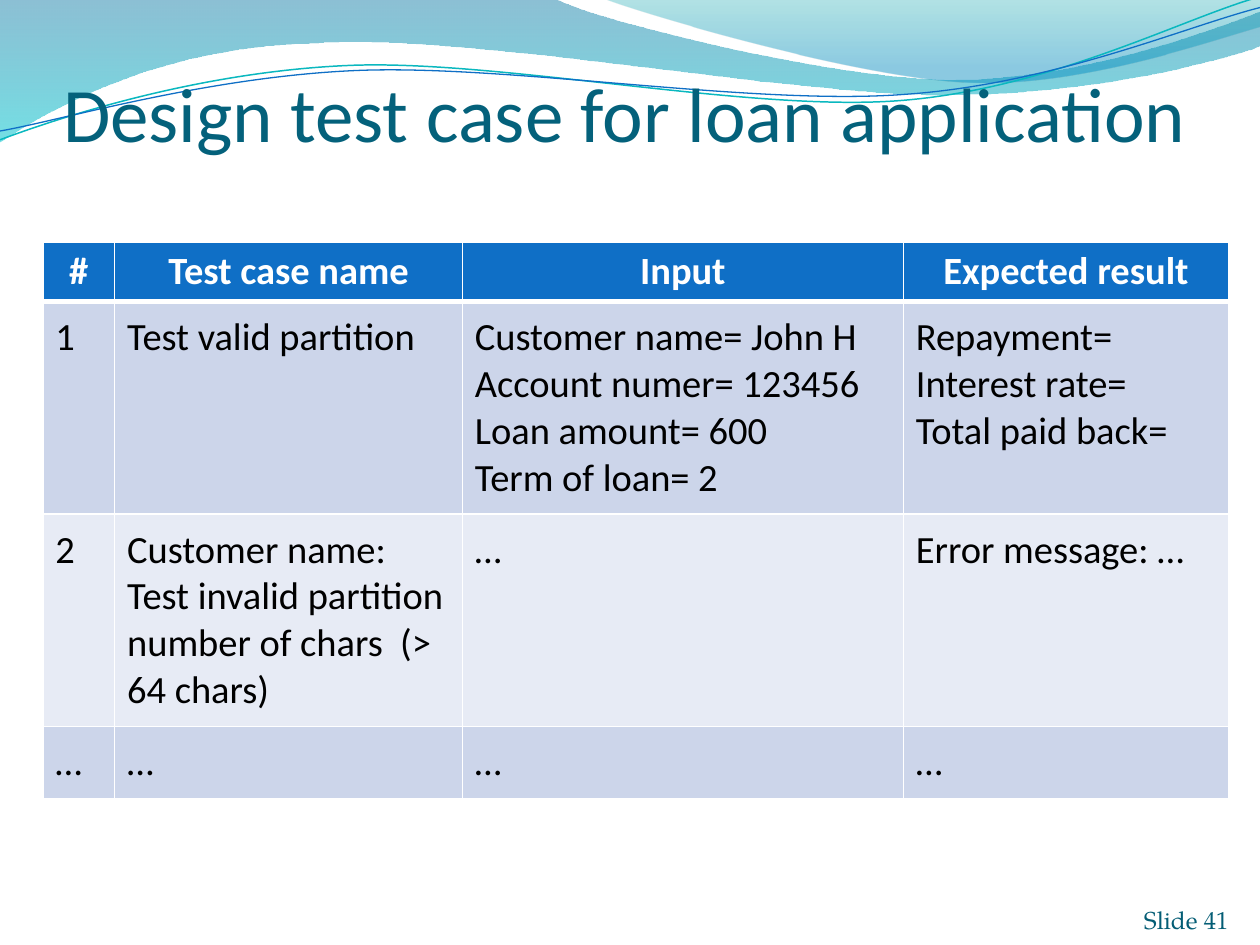
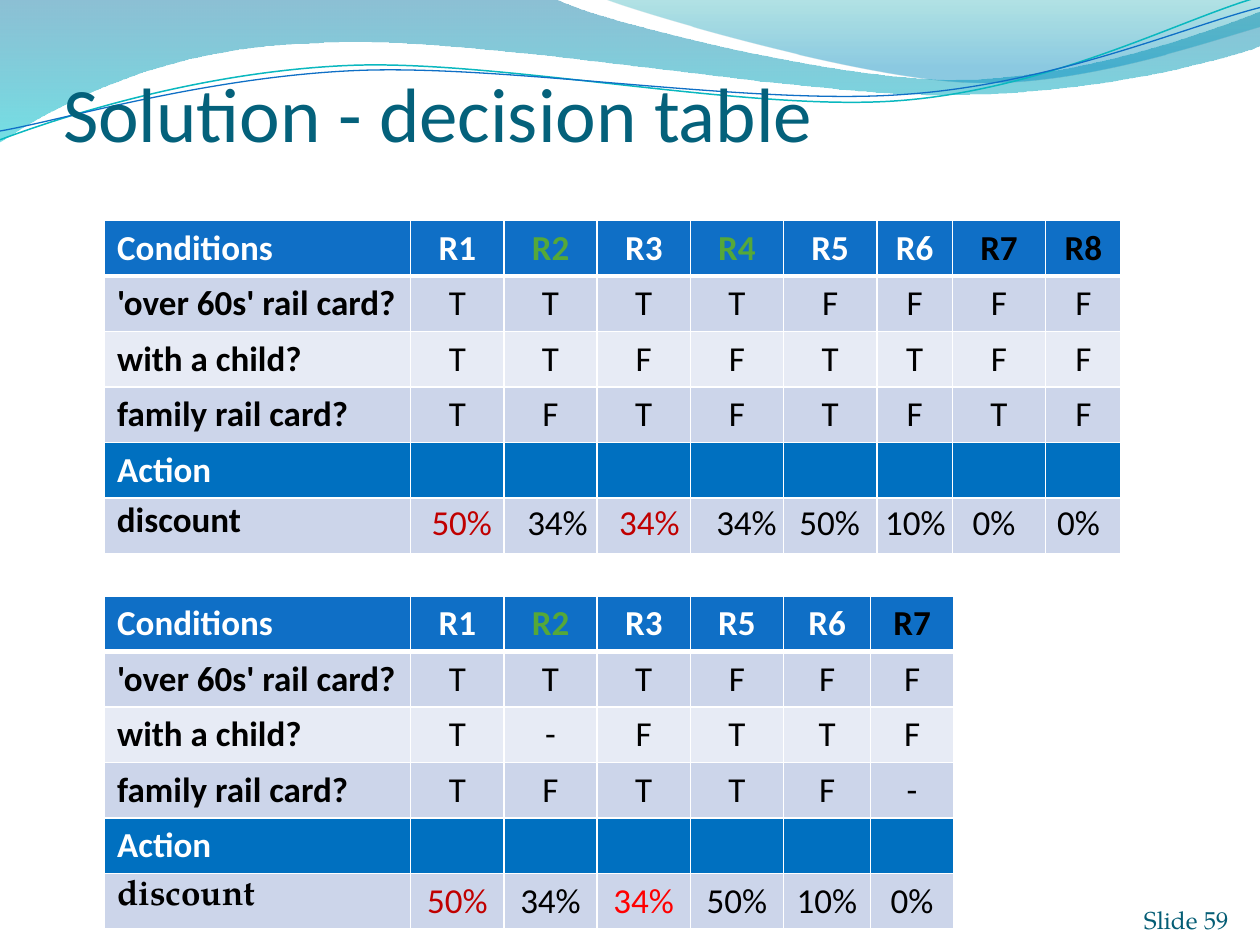
from pptx import Presentation
from pptx.dml.color import RGBColor
from pptx.enum.text import MSO_ANCHOR, MSO_AUTO_SIZE, PP_ALIGN
from pptx.oxml import parse_xml
from pptx.oxml.ns import nsdecls
from pptx.util import Inches, Pt

SANS, SERIF = "Calibri", "TeX Gyre Pagella"
WHITE, BLACK, BLUE, ACTION = "FFFFFF", "000000", "0F6FC6", "0070C0"
STRIPES = ("E7EBF5", "CCD5EA")
TITLE, FOOTER, TEAL = "04617B", "045D75", "0AB8BF"
GREEN, DARK_RED, RED = "55A839", "C00000", "FF0000"

BAND = [(0, 0), (4.4, -0.01), (4.76, 0.17, 6.64, 0.63, 7.58, 0.63),
        (8.53, 0.63, 9.58, 0.26, 10, 0.09), (10.01, 0.36),
        (9.83, 0.44, 8.7, 0.76, 7.46, 0.75),
        (6.22, 0.75, 3.82, 0.28, 2.57, 0.34),
        (1.29, 0.36, 0.46, 0.83, -0.01, 1.13), (0, 0)]
CREST = [(4.79, -0.01), (5.09, 0.11, 6.82, 0.62, 7.69, 0.65),
         (8.56, 0.69, 9.61, 0.32, 10, 0.21), (10, 0), (4.79, -0.01)]
TEAL_WAVE = [(0, 1.11), (0.48, 0.93, 1.58, 0.57, 2.77, 0.52),
             (3.95, 0.47, 5.93, 0.89, 7.13, 0.8),
             (8.33, 0.71, 9.38, 0.15, 9.98, -0.02)]
BLUE_WAVE = [(0, 1.04), (0.47, 0.96, 1.64, 0.61, 2.83, 0.56),
             (4.03, 0.51, 5.97, 0.84, 7.17, 0.75),
             (8.36, 0.67, 9.41, 0.21, 10, 0.06)]

LOAN = [
    ["#", "Test case name", "Input", "Expected result"],
    ["1", "Test valid partition",
     "Customer name= John H\nAccount numer= 123456\nLoan amount= 600\nTerm of loan= 2",
     "Repayment=\nInterest rate=\nTotal paid back="],
    ["2", "Customer name: Test invalid partition number of chars  (> 64 chars)",
     "…", "Error message: …"],
    ["…"] * 4,
]
LABELS = ["Conditions", "'over 60s' rail card?", "with a child?",
          "family rail card?", "Action"]
ALL_RULES = ["R1 R2 R3 R4 R5 R6 R7 R8", "T T T T F F F F",
             "T T F F T T F F", "T F T F T F T F", ""]
FEW_RULES = ["R1 R2 R3 R5 R6 R7", "T T T F F F",
             "T - F T T F", "T F T T F -", "", "50% 34% 34% 50% 10% 0%"]
DISCOUNTS = [("50%", 3.32, DARK_RED), ("34%", 4.81, DARK_RED),
             ("34%", 4.08, BLACK), ("50%", 6.24, BLACK),
             ("34%", 5.58, BLACK), ("0%", 7.62, BLACK),
             ("10%", 6.92, BLACK), ("0%", 8.29, BLACK)]


def color(code):
    """Turn a hex string into a colour."""
    return RGBColor.from_string(code)


def style(frame, size, code, face=SANS, bold=False, align=PP_ALIGN.LEFT):
    """Format every paragraph of a text frame."""
    for para in frame.paragraphs:
        para.alignment = align
        font = para.font
        font.name, font.size, font.bold = face, Pt(size), bold
        font.color.rgb = color(code)


def bend(shape, path):
    """Turn the straight parts of a freeform into its cubic curves."""
    lines = shape._element.findall(".//{*}lnTo")
    for line, part in zip(lines, path[1:]):
        if len(part) == 6:
            points = "".join(
                f'<a:pt x="{Inches(x) - shape.left}" y="{Inches(y) - shape.top}"/>'
                for x, y in zip(part[::2], part[1::2]))
            line.getparent().replace(line, parse_xml(
                f'<a:cubicBezTo {nsdecls("a")}>{points}</a:cubicBezTo>'))


def add_path(slide, path, close):
    """Draw a path as a freeform without a shadow."""
    ends = [(Inches(part[-2]), Inches(part[-1])) for part in path]
    pen = slide.shapes.build_freeform(*ends[0])
    pen.add_line_segments(ends[1:], close=close)
    shape = pen.convert_to_shape()
    bend(shape, path)
    shape.shadow.inherit = False
    return shape


def add_band(slide, path, stops):
    """Draw a closed band with a see-through vertical gradient."""
    shape = add_path(slide, path, True)
    shape.line.fill.background()
    marks = "".join(
        f'<a:gs pos="{pos * 1000}"><a:srgbClr val="{code}">'
        f'<a:alpha val="{alpha * 1000}"/></a:srgbClr></a:gs>'
        for pos, code, alpha in stops)
    fill = parse_xml(f'<a:gradFill {nsdecls("a")} rotWithShape="1"><a:gsLst>{marks}'
                     '</a:gsLst><a:lin ang="5400000" scaled="0"/></a:gradFill>')
    shape._element.spPr.find(".//{*}custGeom").addnext(fill)
    return shape


def add_wave(slide, path, code, width):
    """Draw an open curved line."""
    shape = add_path(slide, path, False)
    shape.fill.background()
    shape.line.color.rgb = color(code)
    shape.line.width = Pt(width)
    return shape


def add_decor(slide):
    """Draw the bands and waves and move them to the master."""
    shapes = [
        add_band(slide, BAND, [(0, "0074A1", 45), (100, "00C6CF", 55)]),
        add_band(slide, CREST, [(0, "00A1A9", 30), (80, "008BBF", 45)]),
        add_wave(slide, TEAL_WAVE, TEAL, 0.85),
        add_wave(slide, BLUE_WAVE, BLUE, 0.75),
    ]
    tree = slide.slide_layout.slide_master.shapes._spTree
    for place, shape in enumerate(shapes, 2):
        tree.insert(place, shape._element)


def add_text(slide, text, left, top, width, height):
    """Add a text box and return its frame."""
    box = slide.shapes.add_textbox(Inches(left), Inches(top),
                                   Inches(width), Inches(height))
    box.text_frame.text = text
    return box.text_frame


def add_slide(deck, title):
    """Add a slide with its title."""
    slide = deck.slides.add_slide(deck.slide_layouts[5])
    head = slide.shapes.title
    head.left, head.top = Inches(0.5), Inches(0.42)
    head.width, head.height = Inches(9.17), Inches(0.83)
    frame = head.text_frame
    frame.text = title
    frame.auto_size, frame.word_wrap = MSO_AUTO_SIZE.NONE, True
    frame.vertical_anchor = MSO_ANCHOR.BOTTOM
    frame.margin_left = frame.margin_right = frame.margin_bottom = 0
    frame.margin_top = Inches(0.05)
    style(frame, 44, TITLE)
    return slide


def add_foot(slide, number):
    """Add the slide number at the lower right."""
    foot = add_text(slide, f"Slide {number}", 8.92, 7.02, 0.83, 0.4)
    foot.margin_left = foot.margin_right = foot.margin_top = foot.margin_bottom = 0
    foot.vertical_anchor, foot.word_wrap = MSO_ANCHOR.BOTTOM, True
    style(foot, 14, FOOTER, SERIF, align=PP_ALIGN.RIGHT)


def add_edges(cell, row):
    """Give a cell white borders, thick below the header."""
    thick = {"T": 3 if row == 1 else 1, "B": 3 if row == 0 else 1}
    for side in "LRTB":
        cell._tc.get_or_add_tcPr().append(parse_xml(
            f'<a:ln{side} {nsdecls("a")} w="{Pt(thick.get(side, 1))}"><a:solidFill>'
            f'<a:srgbClr val="{WHITE}"/></a:solidFill></a:ln{side}>'))


def add_grid(slide, left, top, widths, heights, rows):
    """Add a striped table with a blue header."""
    table = slide.shapes.add_table(
        len(rows), len(widths), Inches(left), Inches(top),
        Inches(sum(widths)), Inches(sum(heights))).table
    for column, width in zip(table.columns, widths):
        column.width = Inches(width)
    for r, texts in enumerate(rows):
        table.rows[r].height = Inches(heights[r])
        for c, text in enumerate(texts):
            cell = table.cell(r, c)
            cell.text = text
            add_edges(cell, r)
            cell.fill.solid()
            cell.fill.fore_color.rgb = color(STRIPES[r % 2] if r else BLUE)
    return table


def add_cases(slide):
    """Add the table of loan test cases."""
    table = add_grid(slide, 0.34, 1.92, [0.57, 2.76, 3.5, 2.58],
                     [0.47, 1.68, 1.68, 0.57], LOAN)
    for r, row in enumerate(table.rows):
        for cell in row.cells:
            if r:
                cell.margin_top = cell.margin_bottom = Inches(0.1)
                style(cell.text_frame, 22, BLACK)
            else:
                style(cell.text_frame, 22, WHITE, bold=True, align=PP_ALIGN.CENTER)


def add_rules(slide, top, widths, labels, rules, tints):
    """Add a decision table, with tints for single cells."""
    blank = [""] * (len(widths) - 1)
    rows = [[label] + (line.split() or blank) for label, line in zip(labels, rules)]
    table = add_grid(slide, 0.83, top, widths, [0.44] * len(rows), rows)
    for r, row in enumerate(table.rows):
        for c, cell in enumerate(row.cells):
            if r == 4:
                cell.fill.fore_color.rgb = color(ACTION)
            code = tints.get((r, c), WHITE if r in (0, 4) else BLACK)
            style(cell.text_frame, 20, code, bold=r == 0 or c == 0,
                  align=PP_ALIGN.CENTER if c else PP_ALIGN.LEFT)
    return table


def add_note(slide, text, left, top, width, code, **look):
    """Add a one-line value over a table cell."""
    frame = add_text(slide, text, left, top, width, 0.44)
    frame.word_wrap = False
    frame.auto_size = MSO_AUTO_SIZE.SHAPE_TO_FIT_TEXT
    style(frame, 20, code, **look)


def main():
    """Build and save both slides."""
    deck = Presentation()
    deck.slide_width, deck.slide_height = Inches(10), Inches(7.5)

    loan = add_slide(deck, "Design test case for loan application")
    add_decor(loan)
    add_cases(loan)
    add_foot(loan, 41)

    rail = add_slide(deck, "Solution - decision table")
    add_rules(rail, 1.75, [2.43] + [0.74] * 5 + [0.6, 0.74, 0.6],
              LABELS + [""], ALL_RULES + [""],
              {(0, 2): GREEN, (0, 4): GREEN, (0, 7): BLACK, (0, 8): BLACK})
    few = add_rules(rail, 4.73, [2.43] + [0.74] * 4 + [0.69, 0.66],
                    LABELS + ["discount"], FEW_RULES,
                    {(0, 2): GREEN, (0, 6): BLACK, (5, 1): DARK_RED, (5, 3): RED})
    style(few.cell(5, 0).text_frame, 20, BLACK, SERIF, bold=True)
    for text, left, code in DISCOUNTS:
        add_note(rail, text, left, 3.92, 0.69 if len(text) == 3 else 0.54, code,
                 align=PP_ALIGN.CENTER)
    add_note(rail, "discount", 0.83, 3.9, 1.26, BLACK, bold=True)
    add_foot(rail, 59)

    deck.save("out.pptx")


if __name__ == "__main__":
    main()
